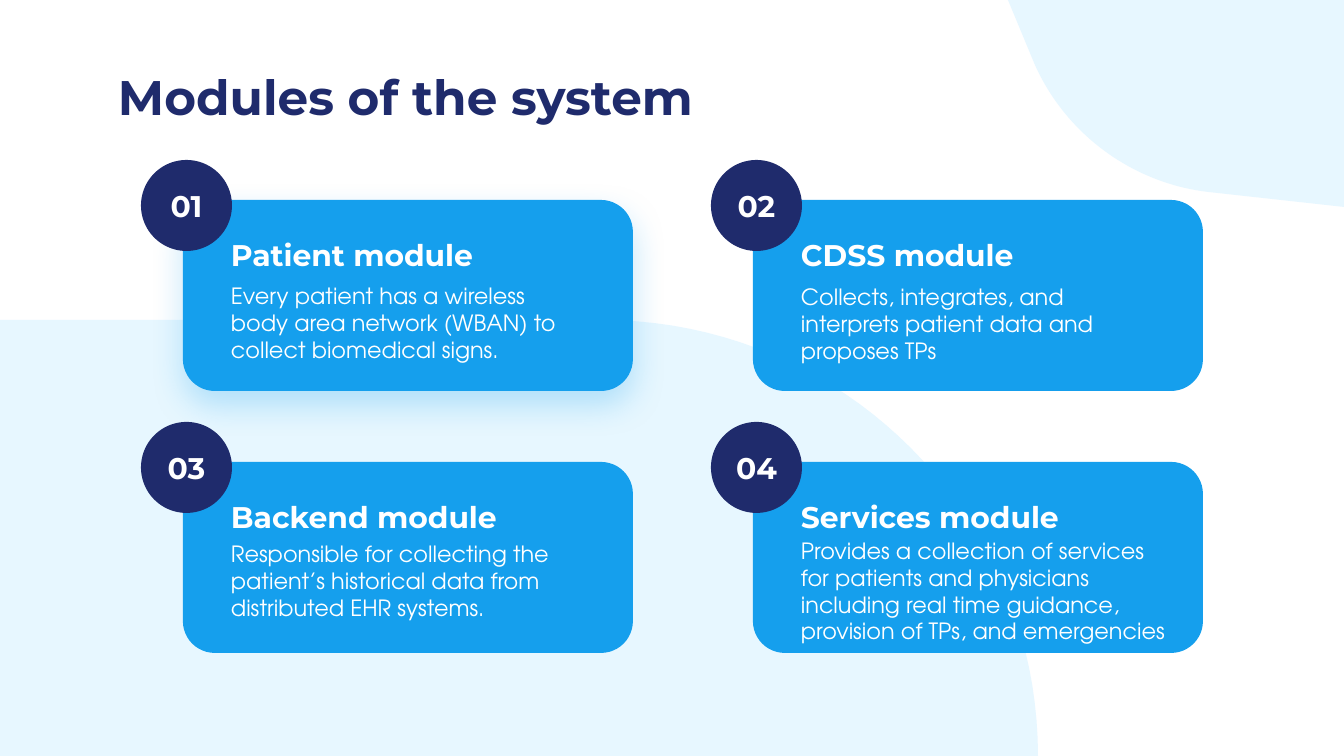
from lxml.etree import SubElement
from pptx import Presentation
from pptx.dml.color import RGBColor
from pptx.enum.shapes import MSO_SHAPE
from pptx.enum.text import MSO_ANCHOR, PP_ALIGN
from pptx.oxml.ns import qn
from pptx.util import Emu, Pt

EMU_PER_PX = 914400 / 134.4
COLORS = {"navy": "1F2B6C", "blue": "159FED", "pale": "E7F7FF", "white": "FFFFFF"}
HEADING_FONT = "Montserrat"
BODY_FONT = "TeX Gyre Adventor"
INSET = 13

CARD_LEFT, CARD_TOP = 183, 200
CARD_WIDTH, CARD_HEIGHT = 450, 191
COLUMN_STEP, ROW_STEP = 570, 262

# number, heading, body, body offset from card top, body width
MODULES = [
    ("01", "Patient module",
     "Every patient has a wireless body area network (WBAN) to collect biomedical signs.",
     69, 380),
    ("02", "CDSS module",
     "Collects, integrates, and interprets patient data and proposes TPs",
     70, 380),
    ("03", "Backend module",
     "Responsible for collecting the patient’s historical data from distributed EHR systems.",
     65, 380),
    ("04", "Services module",
     "Provides a collection of services for patients and physicians including "
     "real time guidance, provision of TPs, and emergencies",
     62, 394),
]


def px(length):
    return Emu(round(length * EMU_PER_PX))


def paint(shape, color):
    shape.fill.solid()
    shape.fill.fore_color.rgb = RGBColor.from_string(COLORS[color])
    shape.line.fill.background()
    shape.shadow.inherit = False


def add_glow(shape):
    """Give the shape a soft blue shadow that falls straight down."""
    effects = shape._element.spPr.find(qn("a:effectLst"))
    shadow = SubElement(effects, qn("a:outerShdw"), blurRad=str(Pt(18)),
                        dist=str(Pt(7.5)), dir="5400000", algn="bl", rotWithShape="0")
    color = SubElement(shadow, qn("a:srgbClr"), val=COLORS["blue"])
    SubElement(color, qn("a:alpha"), val="25000")


def add_preset(slide, preset, left, top, width, height, color):
    shape = slide.shapes.add_shape(preset, px(left), px(top), px(width), px(height))
    paint(shape, color)
    return shape


def add_text(slide, text, left, top, width, height, size, color="white",
             font=HEADING_FONT, bold=True, centered=False):
    box = slide.shapes.add_textbox(px(left), px(top), px(width), px(height))
    frame = box.text_frame
    frame.word_wrap = True
    frame.margin_left = frame.margin_right = px(INSET)
    frame.margin_top = frame.margin_bottom = px(INSET)
    frame.vertical_anchor = MSO_ANCHOR.MIDDLE if centered else MSO_ANCHOR.TOP
    paragraph = frame.paragraphs[0]
    paragraph.alignment = PP_ALIGN.CENTER if centered else PP_ALIGN.LEFT
    run = paragraph.add_run()
    run.text = text
    run.font.name = font
    run.font.size = Pt(size)
    run.font.bold = bold
    run.font.color.rgb = RGBColor.from_string(COLORS[color])


def curve(start, control_1, control_2, end, steps=40):
    """Return points along a cubic Bezier curve."""
    points = []
    for step in range(steps + 1):
        t = step / steps
        weights = ((1 - t) ** 3, 3 * t * (1 - t) ** 2, 3 * t ** 2 * (1 - t), t ** 3)
        points.append(tuple(
            sum(weight * value for weight, value in zip(weights, values))
            for values in zip(start, control_1, control_2, end)))
    return points


def add_outline(slide, points, color):
    corners = [(px(x), px(y)) for x, y in points]
    builder = slide.shapes.build_freeform(*corners[0])
    builder.add_line_segments(corners[1:], close=True)
    paint(builder.convert_to_shape(), color)


def add_background(slide, width, height):
    lower_curve = curve((1038, height), (1038, 515), (843, 320), (602, 320))
    add_outline(slide, [(0, 320), (0, height)] + lower_curve, "pale")
    corner_curve = curve((1035, 65), (1066, 134), (1132, 183), (1208, 192))
    add_outline(slide, [(width, 207), (width, 0), (1008, 0)] + corner_curve, "pale")


def add_module_card(slide, left, top, width, height, module, glowing):
    number, heading, body, body_offset, body_width = module
    card = add_preset(slide, MSO_SHAPE.ROUNDED_RECTANGLE, left, top, width, height, "blue")
    if glowing:
        add_glow(card)
    add_preset(slide, MSO_SHAPE.OVAL, left - 42, top - 40, 91, 91, "navy")
    add_text(slide, heading, left + 35, top + 24, 380, 62, 16)
    add_text(slide, body, left + 35, top + body_offset, body_width, 91, 12,
             font=BODY_FONT, bold=False)
    add_text(slide, number, left - 36, top - 25, 79, 62, 16, centered=True)


def main():
    width, height = 1344, 756
    presentation = Presentation()
    presentation.slide_width, presentation.slide_height = px(width), px(height)
    slide = presentation.slides.add_slide(presentation.slide_layouts[6])
    add_background(slide, width, height)
    add_text(slide, "Modules of the system", 105, 54, 1134, 85, 26, color="navy")
    for index, module in enumerate(MODULES):
        row, column = divmod(index, 2)
        add_module_card(slide, CARD_LEFT + column * COLUMN_STEP, CARD_TOP + row * ROW_STEP,
                        CARD_WIDTH, CARD_HEIGHT, module, glowing=index == 0)
    presentation.save("out.pptx")


if __name__ == "__main__":
    main()
